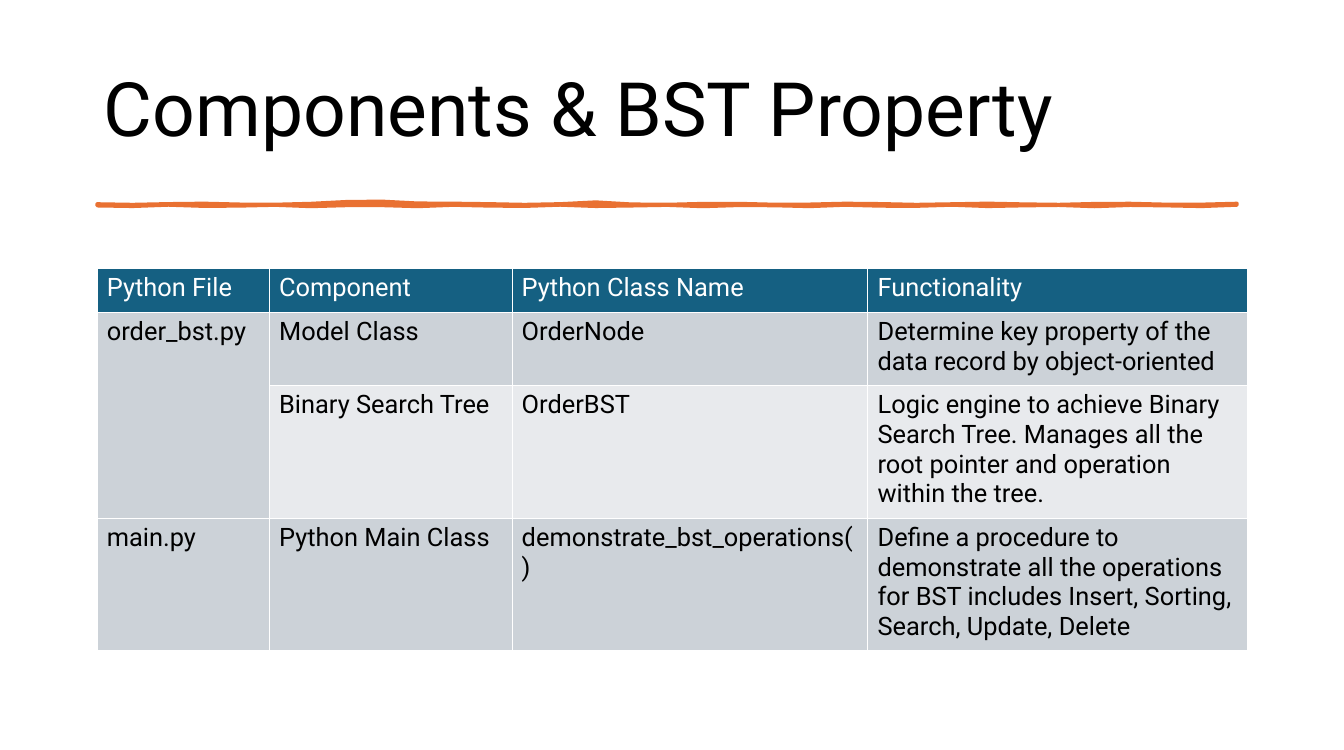
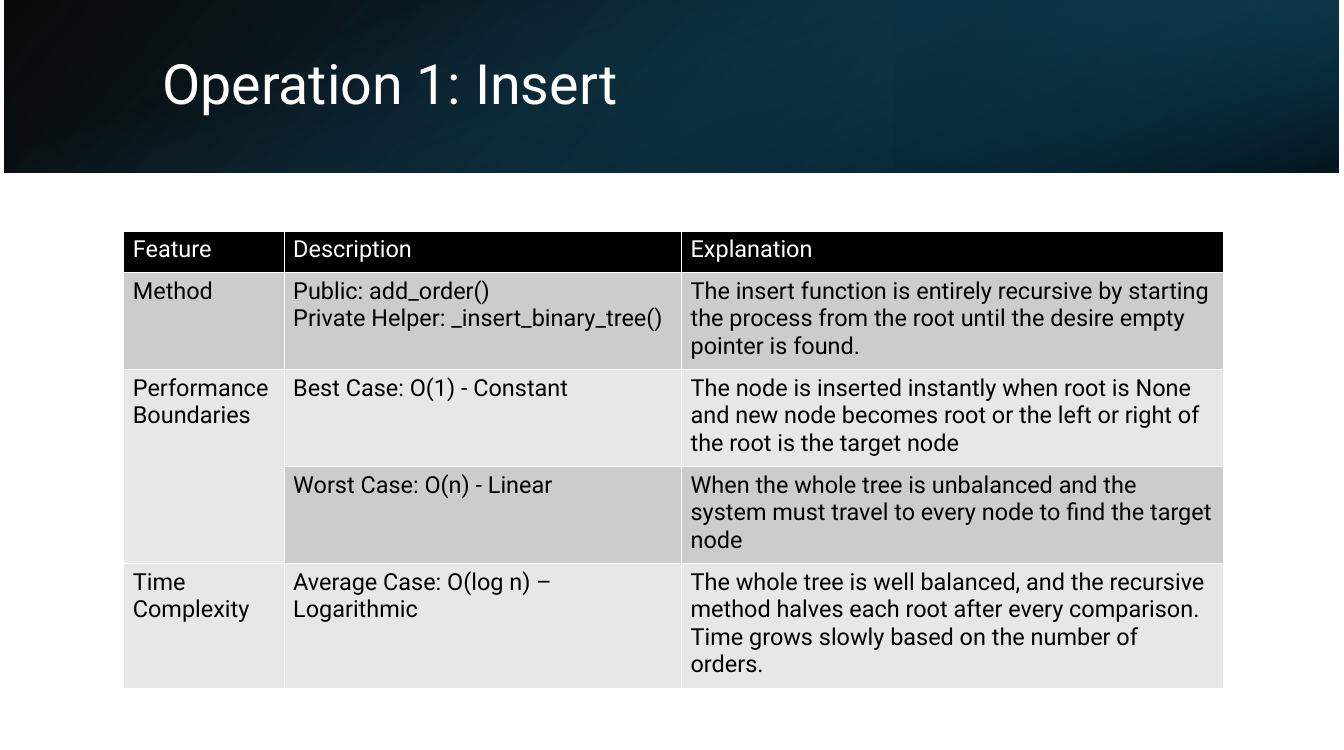
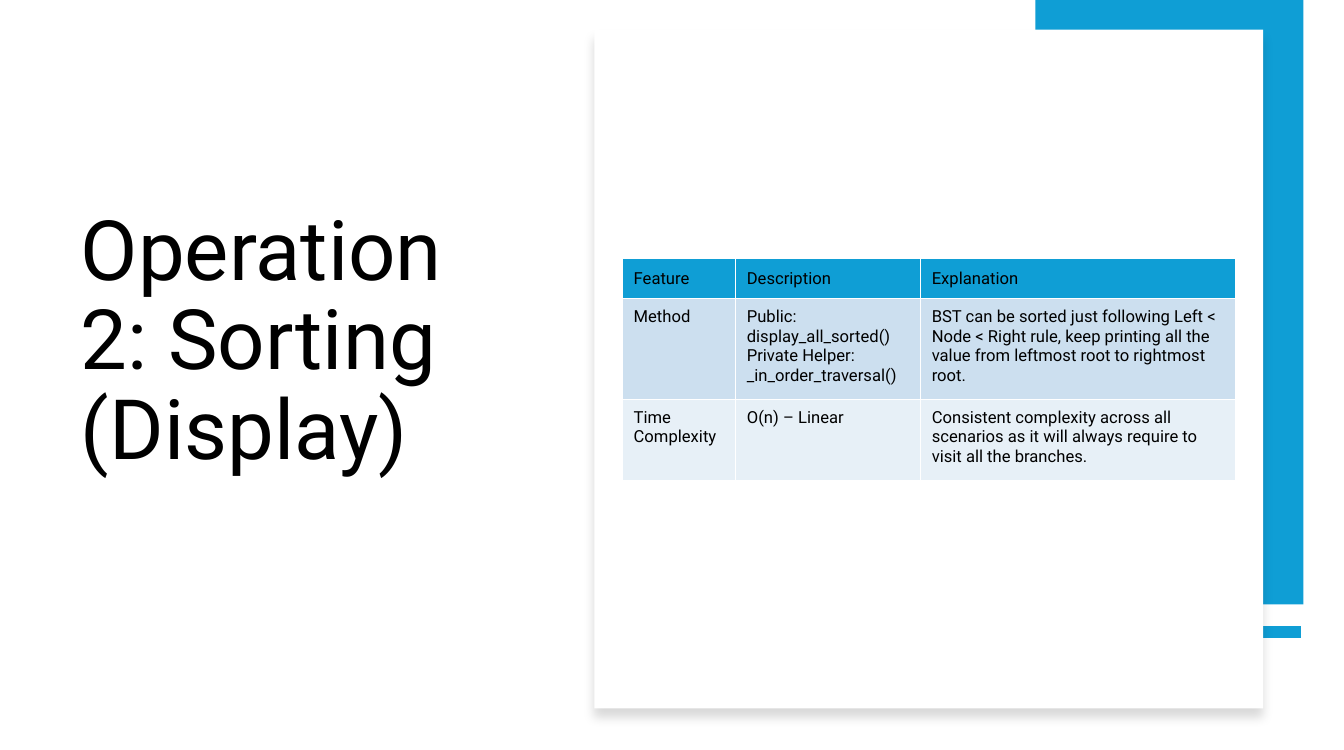
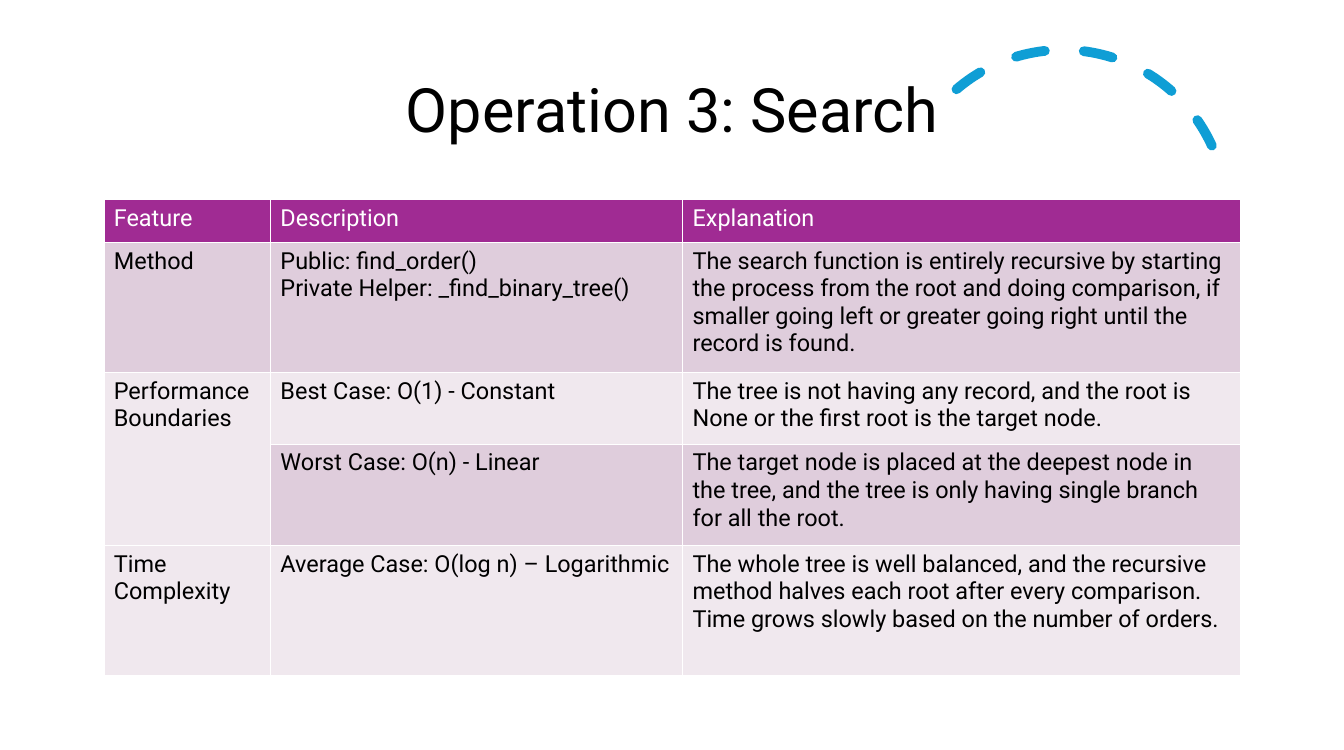
import math

from lxml import etree
from pptx import Presentation
from pptx import util as u
from pptx.dml.color import RGBColor
from pptx.enum import dml, shapes, text
from pptx.oxml import ns

SLIDE_WIDTH, SLIDE_HEIGHT = u.Inches(19.11), u.Inches(10.67)
FONT = "Roboto"
COLOURS = {
    "black": "000000", "white": "FFFFFF", "orange": "E97132", "sky": "0F9ED5",
    "teal": "156082", "deep teal": "104862", "night": "0B3041", "purple": "A02B93",
}
BANDS = {
    "teal": ("CCD2D8", "E8EAED"),
    "black": ("CCCCCC", "E7E7E7"),
    "sky": ("CCDFEF", "E7F0F7"),
    "purple": ("DFCDDC", "F0E8EE"),
}
TITLE_AREA = (7.22, 5.34, 85.61, 19.31)
CELL_PAD = (0.14, 0.07, 0.14, 0.07)
FEATURE_HEADER = ("Feature", "Description", "Explanation")
AVERAGE_CASE = (
    "Time Complexity", "Average Case: O(log n) – Logarithmic",
    "The whole tree is well balanced, and the recursive method halves each root after "
    "every comparison. Time grows slowly based on the number of orders.")


def across(share):
    return u.Emu(round(SLIDE_WIDTH * share / 100))


def down(share):
    return u.Emu(round(SLIDE_HEIGHT * share / 100))


def area(left, top, width, height):
    return across(left), down(top), across(width), down(height)


def rgb(name):
    return RGBColor.from_string(COLOURS.get(name, name))


def add_xml(parent, tag, **attributes):
    return etree.SubElement(parent, ns.qn(tag), **attributes)


def add_colour(parent, name, opacity=100):
    colour = add_xml(parent, "a:srgbClr", val=COLOURS[name])
    if opacity < 100:
        add_xml(colour, "a:alpha", val=str(opacity * 1000))


def write(frame, content, size, colour="black", anchor="top", align="left",
          spacing=1.0, pad=(0.1, 0.05, 0.1, 0.05)):
    frame.word_wrap = True
    frame.vertical_anchor = getattr(text.MSO_ANCHOR, anchor.upper())
    frame.margin_left, frame.margin_top, frame.margin_right, frame.margin_bottom = map(u.Inches, pad)
    frame.text = content
    for para in frame.paragraphs:
        para.alignment = getattr(text.PP_ALIGN, align.upper())
        para.line_spacing = spacing
        for span in para.runs:
            span.font.name, span.font.size = FONT, u.Pt(size)
            span.font.bold = False
            span.font.color.rgb = rgb(colour)


def add_title(page, content, size, place=TITLE_AREA, anchor="middle", **style):
    box = page.shapes.add_textbox(*area(*place))
    write(box.text_frame, content, size, anchor=anchor, spacing=0.9, **style)


def add_panel(page, place, colour):
    panel = page.shapes.add_shape(shapes.MSO_SHAPE.RECTANGLE, *area(*place))
    panel.shadow.inherit = False
    panel.fill.solid()
    panel.fill.fore_color.rgb = rgb(colour)
    panel.line.fill.background()
    return panel


def add_gradient_panel(page, place, angle, stops):
    panel = add_panel(page, place, "black")
    properties = panel.element.spPr
    solid = properties.find(ns.qn("a:solidFill"))
    gradient = etree.Element(ns.qn("a:gradFill"), rotWithShape="1")
    stop_list = add_xml(gradient, "a:gsLst")
    for position, colour, opacity in stops:
        stop = add_xml(stop_list, "a:gs", pos=str(position * 1000))
        add_colour(stop, colour, opacity)
    add_xml(gradient, "a:lin", ang=str(angle * 60000), scaled="0")
    properties.replace(solid, gradient)


def add_card(page, place):
    card = add_panel(page, place, "white")
    effects = card.element.spPr.find(ns.qn("a:effectLst"))
    shadow = add_xml(effects, "a:outerShdw", blurRad=str(u.Pt(11)), dist=str(u.Pt(10)),
                     dir=str(90 * 60000), algn="t", rotWithShape="0")
    add_colour(shadow, "black", 15)


def add_line(page, start, end, row, colour, weight):
    line = page.shapes.add_connector(shapes.MSO_CONNECTOR.STRAIGHT, across(start), down(row),
                                     across(end), down(row))
    line.line.color.rgb = rgb(colour)
    line.line.width = u.Pt(weight)
    add_xml(line.element.spPr, "a:effectLst")


def add_dashed_arc(page, place, rotation, start):
    arc = page.shapes.add_shape(shapes.MSO_SHAPE.ARC, *area(*place))
    arc.shadow.inherit = False
    arc.adjustments[0], arc.adjustments[1] = start, 0
    arc.rotation = rotation
    arc.fill.background()
    arc.line.color.rgb = rgb("sky")
    arc.line.width = u.Pt(10)
    arc.line.dash_style = dml.MSO_LINE.DASH
    arc.line._get_or_add_ln().set("cap", "rnd")


def add_brush_rule(page, left, row, width, steps=32):
    peaks = {7: -0.3, 8: -0.35, 9: -0.1, 14: -0.25}
    upper = [(across(left + width * step / steps),
              down(row + peaks.get(step, 0.08 * math.sin(1.7 * step))))
             for step in range(steps + 1)]
    lower = [(across(left + width * step / steps), down(row + 0.28 + 0.1 * math.sin(2.3 * step)))
             for step in range(steps, -1, -1)]
    builder = page.shapes.build_freeform(*upper[0])
    builder.add_line_segments(upper[1:] + lower, close=True)
    rule = builder.convert_to_shape()
    rule.shadow.inherit = False
    rule.fill.solid()
    rule.fill.fore_color.rgb = rgb("orange")
    rule.line.color.rgb = rgb("orange")
    rule.line.width = u.Pt(3.25)


def add_cell_borders(cell):
    properties = cell._tc.get_or_add_tcPr()
    for side in ("a:lnL", "a:lnR", "a:lnT", "a:lnB"):
        border = add_xml(properties, side, w=str(u.Pt(1)))
        add_colour(add_xml(border, "a:solidFill"), "white")


def add_grid(page, corner, columns, heights, rows, accent, size,
             header_colour="white", header_anchor="top", pad=CELL_PAD):
    table = page.shapes.add_table(len(rows), len(columns),
                                  *area(*corner, sum(columns), sum(heights))).table
    table.first_row = table.horz_banding = False
    for column, width in zip(table.columns, columns):
        column.width = across(width)
    for line, height in zip(table.rows, heights):
        line.height = down(height)
    for row_index, row in enumerate(rows):
        is_header = row_index == 0
        fill = accent if is_header else BANDS[accent][(row_index - 1) % 2]
        for column_index, content in enumerate(row):
            cell = table.cell(row_index, column_index)
            add_cell_borders(cell)
            cell.fill.solid()
            cell.fill.fore_color.rgb = rgb(fill)
            if content is None:
                table.cell(row_index - 1, column_index).merge(cell)
                continue
            write(cell.text_frame, content, size, pad=pad,
                  colour=header_colour if is_header else "black")
            cell.margin_left, cell.margin_top, cell.margin_right, cell.margin_bottom = map(u.Inches, pad)
            anchor = header_anchor if is_header else "top"
            cell.vertical_anchor = getattr(text.MSO_ANCHOR, anchor.upper())


def build_components(page):
    add_title(page, "Components & BST Property", 76.8)
    add_brush_rule(page, 7.22, 27.18, 84.82)
    add_grid(page, (7.22, 35.8), (12.82, 18.05, 26.48, 28.21), (5.81, 9.75, 17.71, 17.71), [
        ("Python File", "Component", "Python Class Name", "Functionality"),
        ("order_bst.py", "Model Class", "OrderNode",
         "Determine key property of the data record by object-oriented"),
        (None, "Binary Search Tree", "OrderBST",
         "Logic engine to achieve Binary Search Tree. Manages all the root pointer and "
         "operation within the tree."),
        ("main.py", "Python Main Class", "demonstrate_bst_operations()",
         "Define a procedure to demonstrate all the operations for BST includes Insert, "
         "Sorting, Search, Update, Delete"),
    ], "teal", 26)


def build_insert(page):
    band = (0.37, 0, 99.22, 22.96)
    add_gradient_panel(page, band, 40, [(0, "black", 96), (100, "deep teal", 100)])
    add_gradient_panel(page, (66.56, 0, 33.03, 22.96), 40, [(19, "night", 68), (100, "teal", 79)])
    add_gradient_panel(page, band, 70, [(23, "teal", 0), (99, "black", 74)])
    add_title(page, "Operation 1: Insert", 56.9, (11.56, 5.06, 81.74, 12.84), colour="white")
    add_grid(page, (9.21, 30.83), (11.93, 29.57, 40.35), (5.53, 12.93, 12.93, 12.93, 16.68), [
        FEATURE_HEADER,
        ("Method", "Public: add_order()\nPrivate Helper: _insert_binary_tree()",
         "The insert function is entirely recursive by starting the process from the root "
         "until the desire empty pointer is found."),
        ("Performance Boundaries", "Best Case: O(1) - Constant",
         "The node is inserted instantly when root is None and new node becomes root or the "
         "left or right of the root is the target node"),
        (None, "Worst Case: O(n) - Linear",
         "When the whole tree is unbalanced and the system must travel to every node to find "
         "the target node"),
        AVERAGE_CASE,
    ], "black", 24, pad=(0.13, 0.07, 0.13, 0.07))


def build_sorting(page):
    add_title(page, "Operation 2: Sorting (Display)", 85.3, (5.29, 9.93, 33.96, 54.45),
              anchor="bottom", pad=CELL_PAD)
    add_line(page, 77.03, 96.81, 84.25, "sky", 12)
    add_panel(page, (77.03, 0, 19.94, 80.6), "sky")
    add_card(page, (44.22, 3.94, 49.76, 90.53))
    add_grid(page, (46.31, 34.4), (8.42, 13.76, 23.44), (5.44, 13.4, 10.78), [
        FEATURE_HEADER,
        ("Method", "Public: display_all_sorted()\nPrivate Helper: _in_order_traversal()",
         "BST can be sorted just following Left < Node < Right rule, keep printing all the "
         "value from leftmost root to rightmost root."),
        ("Time Complexity", "O(n) – Linear",
         "Consistent complexity across all scenarios as it will always require to visit all "
         "the branches."),
    ], "sky", 17, header_colour="black", header_anchor="middle", pad=(0.16, 0.12, 0.12, 0.12))


def build_search(page):
    add_dashed_arc(page, (66.93, 6.65, 24.33, 43.58), 345.8, 146.13)
    add_title(page, "Operation 3: Search", 62.6, align="center")
    add_grid(page, (7.74, 26.62), (12.4, 30.66, 41.5), (5.72, 17.34, 9.56, 13.5, 17.34), [
        FEATURE_HEADER,
        ("Method", "Public: find_order()\nPrivate Helper: _find_binary_tree()",
         "The search function is entirely recursive by starting the process from the root and "
         "doing comparison, if smaller going left or greater going right until the record is "
         "found."),
        ("Performance Boundaries", "Best Case: O(1) - Constant",
         "The tree is not having any record, and the root is None or the first root is the "
         "target node."),
        (None, "Worst Case: O(n) - Linear",
         "The target node is placed at the deepest node in the tree, and the tree is only "
         "having single branch for all the root."),
        AVERAGE_CASE,
    ], "purple", 24)


def main():
    deck = Presentation()
    deck.slide_width, deck.slide_height = SLIDE_WIDTH, SLIDE_HEIGHT
    for build in (build_components, build_insert, build_sorting, build_search):
        build(deck.slides.add_slide(deck.slide_layouts[6]))
    deck.save("out.pptx")


if __name__ == "__main__":
    main()
